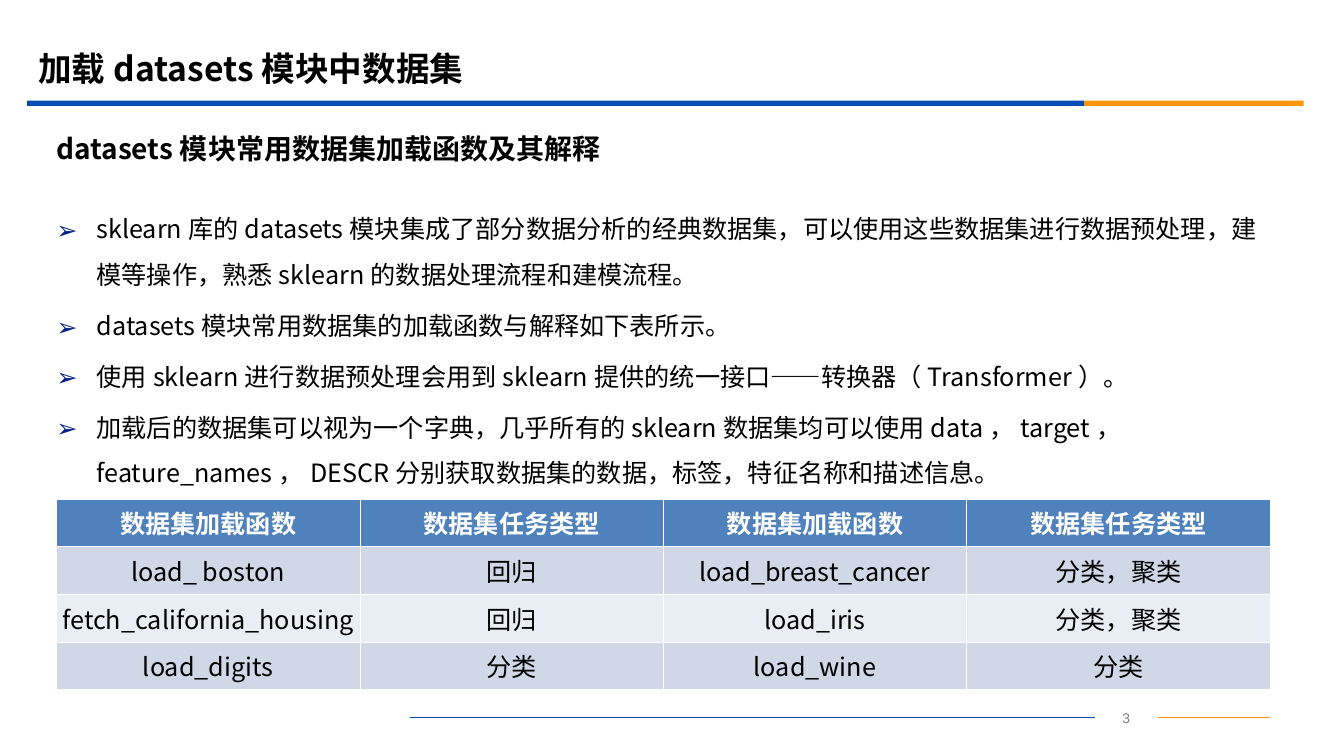
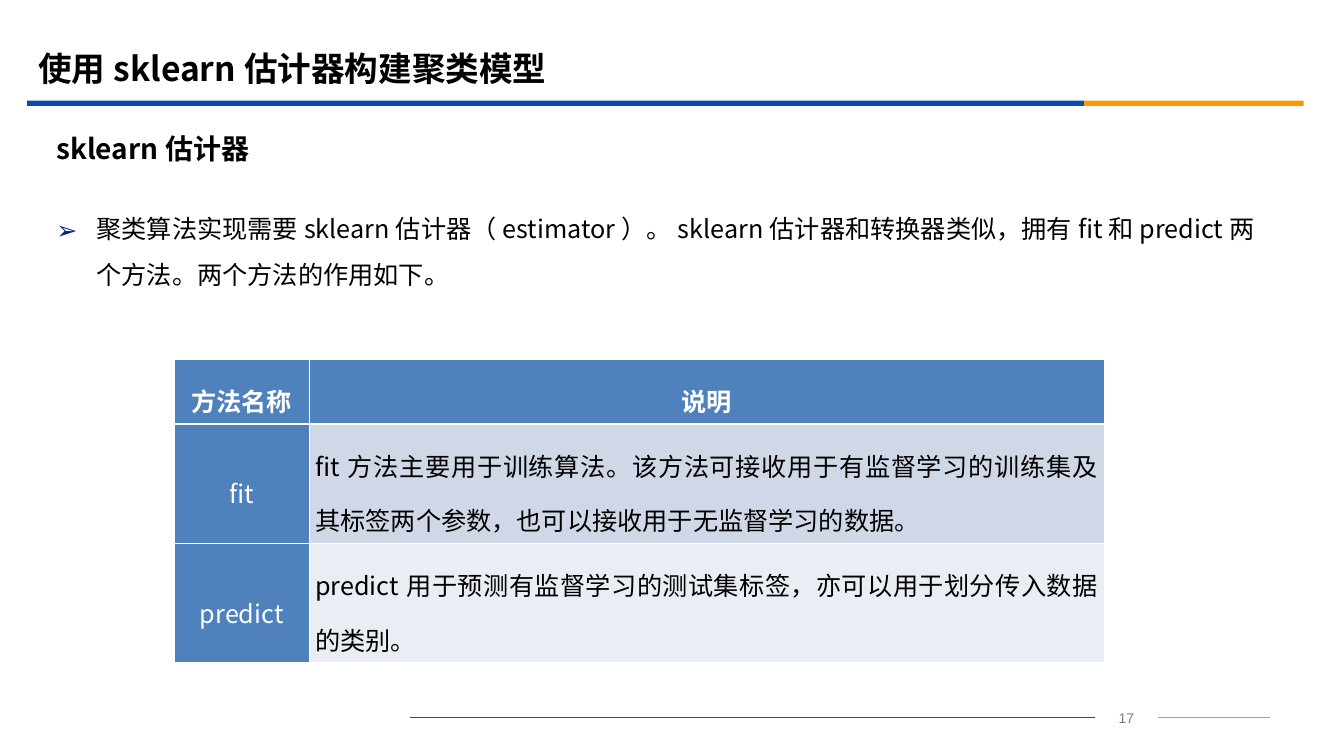
from lxml import etree
from pptx import Presentation
from pptx.dml.color import RGBColor
from pptx.enum.shapes import MSO_CONNECTOR, MSO_SHAPE
from pptx.enum.text import MSO_ANCHOR, MSO_AUTO_SIZE, PP_ALIGN
from pptx.oxml.ns import qn
from pptx.util import Inches, Pt

LEFT, CENTER, JUSTIFY = PP_ALIGN.LEFT, PP_ALIGN.CENTER, PP_ALIGN.JUSTIFY
TOP, MIDDLE = MSO_ANCHOR.TOP, MSO_ANCHOR.MIDDLE
RECTANGLE, STRAIGHT = MSO_SHAPE.RECTANGLE, MSO_CONNECTOR.STRAIGHT
NO_FIT = MSO_AUTO_SIZE.NONE

COLORS = {
    "text": "000000",
    "white": "FFFFFF",
    "number": "7F7F7F",
    "blue": "064BB2",
    "orange": "FB9708",
    "footer_orange": "F19500",
    "bullet": "032089",
    "header": "4F81BD",
    "band_dark": "D0D8E8",
    "band_light": "E9EDF4",
}
SANS = "Noto Sans CJK SC"
STYLES = {
    "title": {"name": SANS, "size": Pt(24), "bold": True},
    "subtitle": {"name": SANS, "size": Pt(20), "bold": True},
    "body": {"name": SANS, "size": Pt(18), "bold": False},
    "header": {"name": SANS, "size": Pt(18), "bold": True},
    "number": {"name": "Arial", "size": Pt(10), "bold": False},
}

deck = Presentation()
deck.slide_width, deck.slide_height = Inches(13.34), Inches(7.5)
COL, ROW = deck.slide_width / 100, deck.slide_height / 100

BANDS = [("blue", 2.02, 78.64), ("orange", 80.66, 16.34)]
FOOTER_LINES = [("blue", 30.51, 81.48), ("footer_orange", 86.13, 94.53)]
FOOTER_ROW = 94.93

PAGES = [
    {
        "title": "加载datasets模块中数据集",
        "subtitle": "datasets模块常用数据集加载函数及其解释",
        "number": "3",
        "space": 4,
        "bullets": [
            "sklearn库的datasets模块集成了部分数据分析的经典数据集，可以使用这些数据集进行数据预处理，建模等操作，熟悉sklearn的数据处理流程和建模流程。",
            "datasets模块常用数据集的加载函数与解释如下表所示。",
            "使用sklearn进行数据预处理会用到sklearn提供的统一接口——转换器（Transformer）。",
            "加载后的数据集可以视为一个字典，几乎所有的sklearn数据集均可以使用data，target，feature_names，DESCR分别获取数据集的数据，标签，特征名称和描述信息。",
        ],
        "origin": (4.2, 66),
        "columns": [22.58] * 4,
        "rows": [6.3] * 4,
        "margin": 0.03,
        "spacing": 1.0,
        "header_column": False,
        "aligns": [CENTER] * 4,
        "cells": [
            ["数据集加载函数", "数据集任务类型"] * 2,
            ["load_ boston", "回归", "load_breast_cancer", "分类，聚类"],
            ["fetch_california_housing", "回归", "load_iris", "分类，聚类"],
            ["load_digits", "分类", "load_wine", "分类"],
        ],
    },
    {
        "title": "使用sklearn估计器构建聚类模型",
        "subtitle": "sklearn估计器",
        "number": "17",
        "space": 10,
        "bullets": [
            "聚类算法实现需要sklearn估计器（estimator）。sklearn估计器和转换器类似，拥有fit和predict两个方法。两个方法的作用如下。",
        ],
        "origin": (12.97, 47.47),
        "columns": [10.04, 59.15],
        "rows": [7.2, 14.53, 14.53],
        "margin": 0.06,
        "spacing": 1.5,
        "header_column": True,
        "aligns": [CENTER, JUSTIFY],
        "cells": [
            ["方法名称", "说明"],
            ["fit", "fit方法主要用于训练算法。该方法可接收用于有监督学习的训练集及其标签两个参数，也可以接收用于无监督学习的数据。"],
            ["predict", "predict用于预测有监督学习的测试集标签，亦可以用于划分传入数据的类别。"],
        ],
    },
]


def place(left, top, width, height):
    return [int(left * COL), int(top * ROW), int(width * COL), int(height * ROW)]


def write(para, text, style, color="text", **layout):
    for name, value in layout.items():
        setattr(para, name, value)
    span = para.add_run()
    span.text = text
    for name, value in STYLES[style].items():
        setattr(span.font, name, value)
    span.font.color.rgb = RGBColor.from_string(COLORS[color])
    properties = span._r.get_or_add_rPr()
    etree.SubElement(properties, qn("a:ea"), typeface=STYLES[style]["name"])


for content in PAGES:
    page = deck.slides.add_slide(deck.slide_layouts[5])

    for color, left, width in BANDS:
        band = page.shapes.add_shape(RECTANGLE, *place(left, 13.33, width, 0.67))
        band.shadow.inherit = False
        band.fill.solid()
        band.fill.fore_color.rgb = RGBColor.from_string(COLORS[color])
        band.line.fill.background()

    for color, start, end in FOOTER_LINES:
        line = page.shapes.add_connector(STRAIGHT, *place(start, FOOTER_ROW, end, FOOTER_ROW))
        line.line.color.rgb = RGBColor.from_string(COLORS[color])
        line.line.width = Pt(0.75)
        etree.SubElement(line._element.spPr, qn("a:effectLst"))

    title = page.shapes.title
    title.left, title.top, title.width, title.height = place(2.1, 5.2, 89.96, 7.73)
    subtitle = page.shapes.add_textbox(*place(3.45, 16.53, 91.08, 6.27))
    body = page.shapes.add_textbox(*place(3.45, 25.6, 91.08, 63.73))
    number = page.shapes.add_textbox(*place(81.48, 93.2, 4.65, 3.33))
    for box, anchor in [(title, MIDDLE), (subtitle, MIDDLE), (body, TOP), (number, TOP)]:
        frame = box.text_frame
        frame.word_wrap = True
        frame.auto_size = NO_FIT
        frame.vertical_anchor = anchor

    for box, style, color, align in [
        (title, "title", "text", LEFT),
        (subtitle, "subtitle", "text", LEFT),
        (number, "number", "number", CENTER),
    ]:
        write(box.text_frame.paragraphs[0], content[style], style, color, alignment=align)

    for index, text in enumerate(content["bullets"]):
        frame = body.text_frame
        para = frame.add_paragraph() if index else frame.paragraphs[0]
        properties = para._p.get_or_add_pPr()
        indent = int(3 * COL)
        properties.set("marL", str(indent))
        properties.set("indent", str(-indent))
        bullet_color = etree.SubElement(properties, qn("a:buClr"))
        etree.SubElement(bullet_color, qn("a:srgbClr"), val=COLORS["bullet"])
        etree.SubElement(properties, qn("a:buFont"), typeface=SANS)
        etree.SubElement(properties, qn("a:buChar"), char="➢")
        space = Pt(content["space"] if index else 0)
        write(para, text, "body", line_spacing=1.5, space_before=space)

    columns, rows = content["columns"], content["rows"]
    area = place(*content["origin"], sum(columns), sum(rows))
    table = page.shapes.add_table(len(rows), len(columns), *area).table
    for column, width in zip(table.columns, columns):
        column.width = int(width * COL)
    for row, height in zip(table.rows, rows):
        row.height = int(height * ROW)

    for r, texts in enumerate(content["cells"]):
        for c, text in enumerate(texts):
            cell = table.cell(r, c)
            cell.margin_left = cell.margin_right = Inches(content["margin"])
            cell.vertical_anchor = MIDDLE
            properties = cell._tc.get_or_add_tcPr()
            for side in "LRTB":
                thick = (r, side) in [(0, "B"), (1, "T")]
                width = Pt(1.47 if thick else 0.45)
                border = etree.SubElement(properties, qn("a:ln" + side), w=str(width))
                fill = etree.SubElement(border, qn("a:solidFill"))
                etree.SubElement(fill, qn("a:srgbClr"), val=COLORS["white"])
            heading = r == 0 or (c == 0 and content["header_column"])
            band = "header" if heading else "band_dark" if r % 2 else "band_light"
            cell.fill.solid()
            cell.fill.fore_color.rgb = RGBColor.from_string(COLORS[band])
            write(
                cell.text_frame.paragraphs[0],
                text,
                "body" if r else "header",
                "white" if heading else "text",
                alignment=CENTER if r == 0 else content["aligns"][c],
                line_spacing=content["spacing"],
            )

deck.save("out.pptx")
